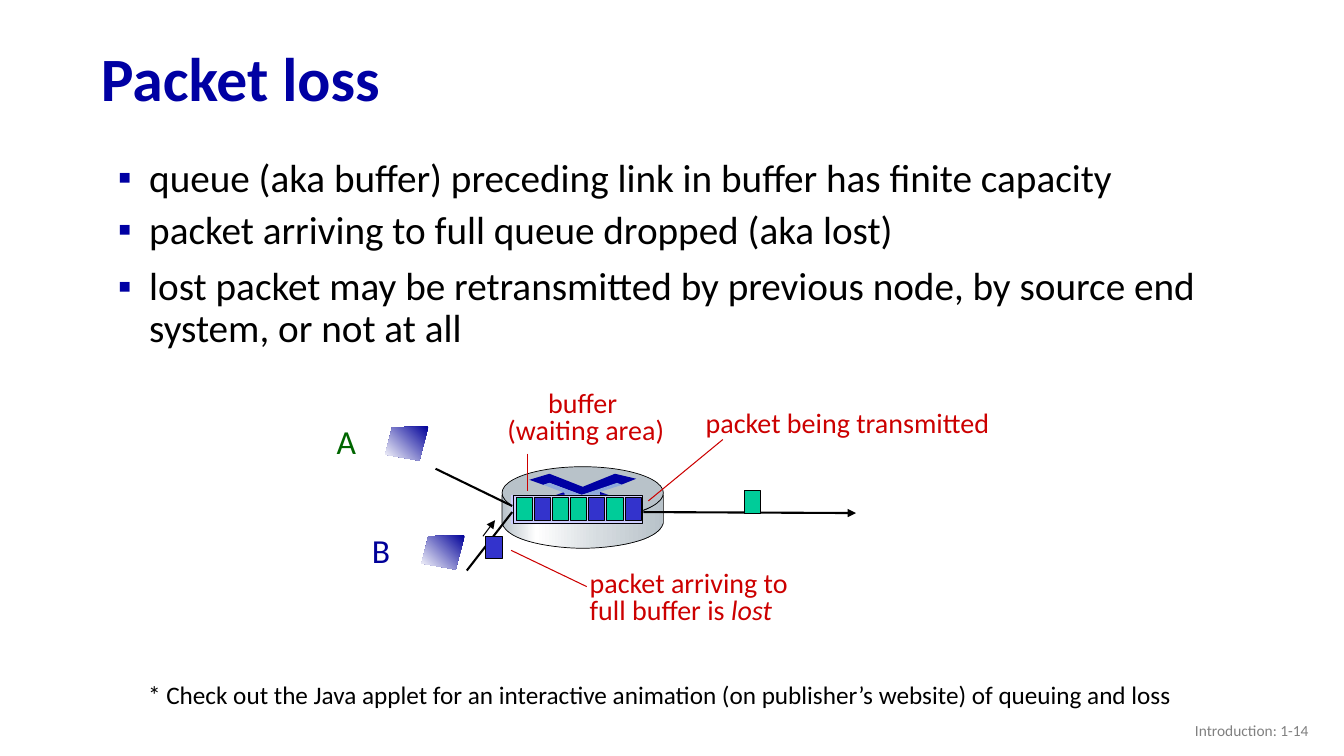
"""Build the "Packet loss" slide: three bullets above a router buffer diagram."""
from dataclasses import dataclass

from lxml.etree import SubElement
from pptx import Presentation
from pptx.dml.color import RGBColor
from pptx.enum.shapes import MSO_CONNECTOR as Connector, MSO_SHAPE as Shape
from pptx.enum.text import MSO_ANCHOR as Anchor, MSO_AUTO_SIZE as AutoSize, PP_ALIGN as Align
from pptx.oxml.ns import qn
from pptx.util import Inches, Pt


@dataclass(frozen=True)
class Theme:
    """Colours, font and type sizes of the slide."""
    font: str = "Calibri"
    navy: str = "0000A3"
    black: str = "000000"
    white: str = "FFFFFF"
    red: str = "CC0000"
    green: str = "006600"
    host_blue: str = "000099"
    packet_green: str = "00CC99"
    packet_blue: str = "3333CC"
    tray: str = "CCCCFF"
    steel: str = "B8C2C9"
    steel_light: str = "D6DCE0"
    sky: str = "8FAADC"
    grey: str = "808080"
    title_size: int = 44
    body_size: int = 28
    host_size: int = 24
    label_size: int = 20
    note_size: int = 18
    footer_size: int = 11


T = Theme()

TITLE = "Packet loss"
BULLETS = [
    ("queue (aka buffer) preceding link in buffer has finite capacity", 0),
    ("packet arriving to full queue dropped (aka lost)", 7),
    ("lost packet may be retransmitted by previous node, by source end system, or not at all", 10),
]

LABELS = [
    ((3.24, 4.13, 0.4, 0.5), [["A"]], T.host_size, T.green, Align.LEFT, 1),
    ((3.59, 5.21, 0.38, 0.5), [["B"]], T.host_size, T.host_blue, Align.LEFT, 1),
    ((6.9, 4.04, 3.05, 0.38), [["packet being transmitted"]], T.label_size, T.red, Align.LEFT, 0.8),
    ((4.92, 3.84, 1.78, 0.65), [["buffer "], ["(waiting area)"]], T.label_size, T.red, Align.CENTER, 0.8),
    ((5.75, 5.63, 2.19, 0.65), [["packet arriving to"], ["full buffer is ", "lost"]],
     T.label_size, T.red, Align.LEFT, 0.8),
    ((1.37, 6.69, 10.42, 0.4),
     [["* Check out the Java applet for an interactive animation "
       "(on publisher’s website) of queuing and loss"]], T.note_size, T.black, Align.LEFT, 1),
]
ITALIC = {"lost"}
FOOTER = "Introduction: 1-14"

ROUTER_TOP = (4.98, 4.63, 1.6, 0.52)
ROUTER_LOWER_RIM = [
    ((6.58, 5.19), (6.53, 5.38), (6.05, 5.44), (5.78, 5.44)),
    ((5.78, 5.44), (5.52, 5.44), (5.03, 5.38), (4.98, 5.19)),
]
ROUTER_UPPER_RIM = [
    ((4.98, 4.91), (5.05, 5.07), (5.51, 5.16), (5.77, 5.16)),
    ((5.77, 5.16), (6.04, 5.16), (6.5, 5.1), (6.58, 4.91)),
]
ROUTER_STOPS = [(0, T.steel), (21, T.white), (60, T.steel_light), (100, T.steel)]
EMBLEM = [
    ([(6.1, 4.7), (6.31, 4.75), (6.16, 4.81), (6.12, 4.8), (5.77, 4.91), (5.45, 4.79),
      (5.39, 4.81), (5.25, 4.76), (5.45, 4.7), (5.78, 4.83)], T.navy),
    ([(5.95, 4.88), (6.34, 5.02), (6.2, 5.07), (5.94, 4.98)], T.navy),
    ([(5.6, 4.88), (5.61, 4.98), (5.35, 5.07), (5.21, 5.02)], T.navy),
    ([(5.39, 4.81), (5.45, 4.79), (5.77, 4.91), (6.12, 4.79), (6.17, 4.81), (5.95, 4.88),
      (5.95, 4.98), (6.2, 5.07), (6.13, 5.08), (5.78, 4.95), (5.41, 5.08), (5.35, 5.06),
      (5.6, 4.98), (5.6, 4.89)], T.sky),
]

HOST_OUTLINE = [(0.43, 0), (0.07, 0.01), (0, 0.28), (0.34, 0.34)]
HOST_ORIGINS = [(3.82, 4.23), (4.18, 5.31)]
HOST_STOPS = [(0, T.host_blue), (100, T.white)]

TRAY = (5.07, 4.91, 1.31, 0.29)
FRAME = (5.09, 4.92, 1.28, 0.27)
QUEUE = [T.packet_green, T.packet_blue, T.packet_green, T.packet_green,
         T.packet_blue, T.packet_green, T.packet_blue]
QUEUE_LEFT, QUEUE_TOP, QUEUE_STEP = 5.12, 4.94, 0.18
PACKET_SIZE = (0.16, 0.22)
LOOSE_PACKETS = [((7.38, 4.87), T.packet_green), ((4.82, 5.32), T.packet_blue)]

LINKS = [
    ((4.32, 4.65), (5.08, 5.02), T.black, 1.5, False),
    ((4.63, 5.66), (5.08, 5.08), T.black, 1.5, False),
    ((6.38, 5.08), (8.49, 5.09), T.black, 1.5, True),
]
POINTERS = [
    ((7.17, 4.36), (6.43, 4.97), T.red, 0.75, False),
    ((5.23, 4.5), (5.23, 4.87), T.red, 0.75, False),
    ((4.79, 5.32), (4.91, 5.16), T.black, 0.75, True),
    ((5.82, 5.82), (5.07, 5.46), T.red, 0.75, False),
]


def rgb(color):
    return RGBColor.from_string(color)


def inches(values):
    return [Inches(value) for value in values]


def paint(shape, fill=None, line_width=None):
    shape.shadow.inherit = False
    if fill:
        shape.fill.solid()
        shape.fill.fore_color.rgb = rgb(fill)
    else:
        shape.fill.background()
    if line_width:
        shape.line.color.rgb = rgb(T.black)
        shape.line.width = Pt(line_width)
    else:
        shape.line.fill.background()


def shade(shape, stops, angle):
    shape.fill.gradient()
    shape.fill.gradient_angle = angle
    stop_list = next(shape.element.iter(qn("a:gsLst")))
    stop_list.clear()
    for percent, color in stops:
        stop = SubElement(stop_list, qn("a:gs"), pos=str(percent * 1000))
        SubElement(stop, qn("a:srgbClr"), val=color)


def curve(a, b, c, d, steps=16):
    def at(t):
        u = 1 - t
        return tuple(u**3 * p + 3 * u * u * t * q + 3 * u * t * t * r + t**3 * s
                     for p, q, r, s in zip(a, b, c, d))
    return [at(step / steps) for step in range(steps + 1)]


def add_outline(shapes, points, fill=None, line_width=None):
    start, *rest = [inches(point) for point in points]
    builder = shapes.build_freeform(*start, scale=1.0)
    builder.add_line_segments(rest, close=True)
    outline = builder.convert_to_shape()
    paint(outline, fill, line_width)
    return outline


def add_preset(shapes, kind, box, fill=None, line_width=None):
    paint(shapes.add_shape(kind, *inches(box)), fill, line_width)


def add_line(shapes, start, end, color, width, arrow):
    line = shapes.add_connector(Connector.STRAIGHT, *inches(start + end))
    line.line.color.rgb = rgb(color)
    line.line.width = Pt(width)
    if arrow:
        SubElement(line.line._get_or_add_ln(), qn("a:tailEnd"), type="triangle")
    SubElement(line.element.spPr, qn("a:effectLst"))


def write(paragraph, words, size, color, align=Align.LEFT, spacing=1, bold=False):
    paragraph.alignment = align
    paragraph.line_spacing = spacing
    for text in words:
        run = paragraph.add_run()
        run.text = text
        font = run.font
        font.name, font.size, font.color.rgb = T.font, Pt(size), rgb(color)
        font.bold, font.italic = bold, text in ITALIC


def add_label(shapes, box, lines, size, color, align, spacing):
    frame = shapes.add_textbox(*inches(box)).text_frame
    frame.word_wrap = False
    frame.auto_size = AutoSize.SHAPE_TO_FIT_TEXT
    for index, words in enumerate(lines):
        paragraph = frame.add_paragraph() if index else frame.paragraphs[0]
        write(paragraph, words, size, color, align, spacing)


def place(holder, box, anchor):
    holder.left, holder.top, holder.width, holder.height = inches(box)
    frame = holder.text_frame
    frame.word_wrap, frame.auto_size, frame.vertical_anchor = True, AutoSize.NONE, anchor
    return frame


def add_bullets(body):
    frame = place(body, (1.07, 1.52, 11.17, 2.3), Anchor.TOP)
    for index, (text, gap) in enumerate(BULLETS):
        paragraph = frame.add_paragraph() if index else frame.paragraphs[0]
        props = paragraph._p.get_or_add_pPr()
        props.set("marL", str(Inches(0.31)))
        props.set("indent", str(-Inches(0.31)))
        SubElement(SubElement(props, qn("a:buClr")), qn("a:srgbClr"), val=T.navy)
        SubElement(props, qn("a:buChar"), char="▪")
        paragraph.space_before = Pt(gap)
        write(paragraph, [text], T.body_size, T.black, spacing=0.9)


def add_router(shapes):
    rims = [point for arc in ROUTER_LOWER_RIM + ROUTER_UPPER_RIM for point in curve(*arc)]
    shade(add_outline(shapes, rims, line_width=0.5), ROUTER_STOPS, 0)
    add_preset(shapes, Shape.OVAL, ROUTER_TOP, T.steel, 0.5)
    for points, color in EMBLEM:
        add_outline(shapes, points, color)


def main():
    deck = Presentation()
    deck.slide_width, deck.slide_height = Inches(13.33), Inches(7.5)
    slide = deck.slides.add_slide(deck.slide_layouts[1])
    shapes = slide.shapes
    heading = place(shapes.title, (0.9, 0.32, 11.5, 0.98), Anchor.MIDDLE)
    write(heading.paragraphs[0], [TITLE], T.title_size, T.navy, spacing=0.9, bold=True)
    add_bullets(slide.placeholders[1])

    add_router(shapes)
    add_preset(shapes, Shape.RECTANGLE, TRAY, T.tray)
    for link in LINKS:
        add_line(shapes, *link)
    queued = [((QUEUE_LEFT + i * QUEUE_STEP, QUEUE_TOP), color) for i, color in enumerate(QUEUE)]
    for corner, color in queued + LOOSE_PACKETS:
        add_preset(shapes, Shape.RECTANGLE, corner + PACKET_SIZE, color, 0.75)
    add_preset(shapes, Shape.RECTANGLE, FRAME, line_width=0.75)
    for x, y in HOST_ORIGINS:
        host = add_outline(shapes, [(x + dx, y + dy) for dx, dy in HOST_OUTLINE])
        shade(host, HOST_STOPS, 225)
    for pointer in POINTERS:
        add_line(shapes, *pointer)
    for label in LABELS:
        add_label(shapes, *label)
    footer = place(shapes.add_textbox(0, 0, 0, 0), (10.08, 7.05, 3, 0.4), Anchor.MIDDLE)
    write(footer.paragraphs[0], [FOOTER], T.footer_size, T.grey, Align.RIGHT)
    deck.save("out.pptx")


if __name__ == "__main__":
    main()
